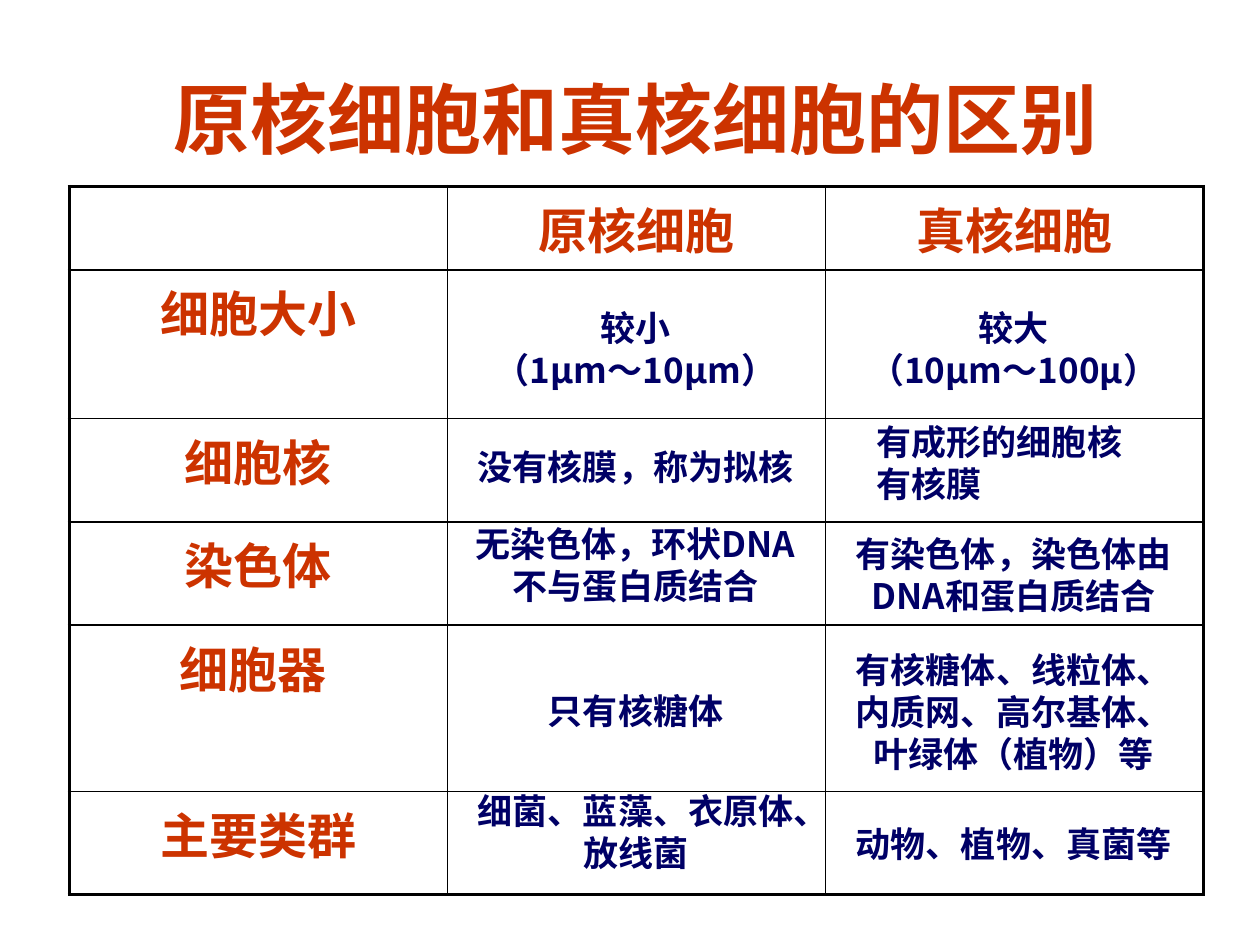
from itertools import accumulate
from lxml import etree
from pptx import Presentation, util as u
from pptx.dml.color import RGBColor
from pptx.enum import text as t
from pptx.oxml.ns import qn

HUES = {"red": "CC3300", "navy": "000066", "line": "000000", "back": "FFFFFF"}
SANS = "Noto Sans CJK JP"
LEFT, TOP = 0.55, 1.48
COLS = [3, 3, 3]
ROWS = [0.66, 1.18, 0.82, 0.82, 1.32, 0.82]
THIN, THICK = 1, 2.25
HEADS = ["原核细胞", "真核细胞"]
SIDES = ["细胞大小", "细胞核", "染色体", "细胞器 ", "主要类群"]

# Row, column, drop below the row's top, words
NOTES = [
    (1, 1, 0.24, "较小\n（1μm～10μm）"),
    (1, 2, 0.24, "较大\n（10μm～100μ）"),
    (2, 1, 0.17, "没有核膜，称为拟核"),
    (3, 1, -0.04, "无染色体，环状DNA不与蛋白质结合"),
    (3, 2, 0.04, "有染色体，染色体由DNA和蛋白质结合"),
    (4, 1, 0.46, "只有核糖体"),
    (4, 2, 0.14, "有核糖体、线粒体、内质网、高尔基体、叶绿体（植物）等"),
    (5, 1, -0.06, "细菌、蓝藻、衣原体、放线菌"),
    (5, 2, 0.2, "动物、植物、真菌等"),
]


def write(frame, words, size, hue, font="Arial", align="CENTER", lead=None):
    frame.text = words
    for para in frame.paragraphs:
        para.alignment = getattr(t.PP_ALIGN, align)
        para.line_spacing = lead
        for run in para.runs:
            face = run.font
            face.size, face.bold, face.name = u.Pt(size), True, font
            face.color.rgb = RGBColor.from_string(HUES[hue])
            if font == SANS:
                east = etree.SubElement(face._element, qn("a:ea"))
                east.set("typeface", font)


def edge(cell, sides):
    """Draw the four borders; sides maps L, R, T, B to a width in points."""
    props = cell._tc.get_or_add_tcPr()
    for i, (side, width) in enumerate(sides.items()):
        line = etree.Element(qn("a:ln" + side), w=str(u.Pt(width)))
        fill = etree.SubElement(line, qn("a:solidFill"))
        etree.SubElement(fill, qn("a:srgbClr"), val=HUES["line"])
        props.insert(i, line)


def head(slide, x, y, w, h):
    title = slide.shapes.title
    title.left, title.top, title.width, title.height = map(u.Inches, (x, y, w, h))
    title.text_frame.vertical_anchor = t.MSO_ANCHOR.MIDDLE
    write(title.text_frame, "原核细胞和真核细胞的区别", 44, "red")


def grid(slide, x, y):
    box = map(u.Inches, (x, y, sum(COLS), sum(ROWS)))
    table = slide.shapes.add_table(len(ROWS), len(COLS), *box).table
    table.first_row = table.horz_banding = False
    for col, width in zip(table.columns, COLS):
        col.width = u.Inches(width)
    for row, height in zip(table.rows, ROWS):
        row.height = u.Inches(height)
    for r in range(len(ROWS)):
        for c in range(len(COLS)):
            cell = table.cell(r, c)
            cell.fill.solid()
            cell.fill.fore_color.rgb = RGBColor.from_string(HUES["back"])
            outer = {"L": c == 0, "R": c == len(COLS) - 1,
                     "T": r == 0, "B": r == len(ROWS) - 1}
            edge(cell, {k: THICK if v else THIN for k, v in outer.items()})
    for c, words in enumerate(HEADS, 1):
        write(table.cell(0, c).text_frame, words, 28, "red")
    for r, words in enumerate(SIDES, 1):
        write(table.cell(r, 0).text_frame, words, 28, "red")


def note(slide, x, y, w, words, align="CENTER"):
    box = slide.shapes.add_textbox(*map(u.Inches, (x, y, w, 0.43)))
    frame = box.text_frame
    frame.word_wrap = True
    frame.auto_size = t.MSO_AUTO_SIZE.SHAPE_TO_FIT_TEXT
    write(frame, words, 20, "navy", SANS, align, u.Pt(24))


def main():
    deck = Presentation()
    deck.slide_width, deck.slide_height = u.Inches(10), u.Inches(7.5)
    slide = deck.slides.add_slide(deck.slide_layouts[5])
    head(slide, LEFT, 0.31, sum(COLS), 1.25)
    grid(slide, LEFT, TOP)
    # Answers laid over the table
    xs = list(accumulate(COLS, initial=LEFT))
    ys = list(accumulate(ROWS, initial=TOP))
    for r, c, drop, words in NOTES:
        note(slide, xs[c] + 0.08, ys[r] + drop, 2.83, words)
    note(slide, xs[2] + 0.31, ys[2] - 0.03, 2.2, "有成形的细胞核有核膜", "LEFT")
    deck.save("out.pptx")


if __name__ == "__main__":
    main()
